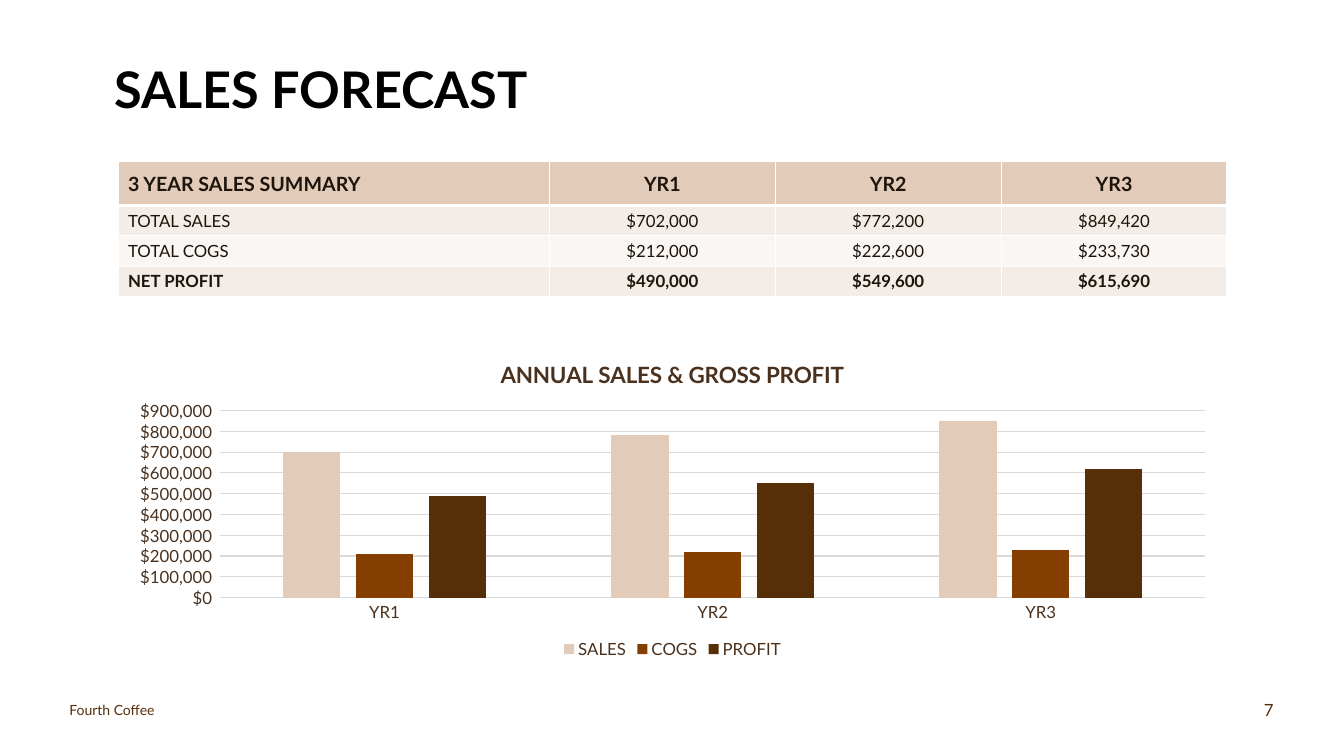
from lxml import etree
from pptx import Presentation
from pptx.chart.data import CategoryChartData
from pptx.dml.color import RGBColor
from pptx.enum.chart import XL_CHART_TYPE, XL_LEGEND_POSITION, XL_TICK_MARK
from pptx.enum.text import MSO_ANCHOR, PP_ALIGN
from pptx.oxml.ns import qn
from pptx.util import Inches, Pt

COLUMNS = XL_CHART_TYPE.COLUMN_CLUSTERED
BOTTOM = XL_LEGEND_POSITION.BOTTOM
NO_TICK = XL_TICK_MARK.NONE
MIDDLE = MSO_ANCHOR.MIDDLE
LEFT, CENTER, RIGHT = PP_ALIGN.LEFT, PP_ALIGN.CENTER, PP_ALIGN.RIGHT

BLACK = RGBColor(0x00, 0x00, 0x00)
INK = RGBColor(0x1D, 0x14, 0x0C)
BROWN = RGBColor(0x49, 0x31, 0x1E)
DARK = RGBColor(0x56, 0x2F, 0x08)
RUST = RGBColor(0x84, 0x3F, 0x00)
TAN = RGBColor(0xE2, 0xCB, 0xB9)
CREAM = RGBColor(0xF4, 0xEC, 0xE6)
PALE = RGBColor(0xFA, 0xF6, 0xF3)
GRAY = RGBColor(0xD9, 0xD9, 0xD9)

EDGE, WIDE = 1.17, 11


def style(font, size, color, bold=False):
    font.name = "Lato"
    font.size = Pt(size)
    font.bold = bold
    font.color.rgb = color


def label(text, place, size, color, bold=False, align=LEFT):
    box = slide.shapes.add_textbox(*map(Inches, place))
    frame = box.text_frame
    frame.word_wrap = True
    frame.vertical_anchor = MIDDLE
    frame.margin_top = frame.margin_bottom = 0
    line = frame.paragraphs[0]
    line.text = text
    line.alignment = align
    style(line.font, size, color, bold)


deck = Presentation()
deck.slide_width, deck.slide_height = Inches(13.33), Inches(7.5)
slide = deck.slides.add_slide(deck.slide_layouts[6])

label("SALES FORECAST", (1.04, 0.53, 11.25, 0.7), 36, BLACK, True)

years = ["YR1", "YR2", "YR3"]
rows = [
    ["3 YEAR SALES SUMMARY", *years],
    ["TOTAL SALES", "$702,000", "$772,200", "$849,420"],
    ["TOTAL COGS", "$212,000", "$222,600", "$233,730"],
    ["NET PROFIT", "$490,000", "$549,600", "$615,690"],
]
fills = [TAN, CREAM, PALE, CREAM]
table = slide.shapes.add_table(
    4, 4, Inches(EDGE), Inches(1.6), Inches(WIDE), Inches(1.34)).table
for c, width in enumerate([4.28] + [2.24] * 3):
    table.columns[c].width = Inches(width)
for r, row in enumerate(rows):
    table.rows[r].height = Inches(0.3 if r else 0.44)
    for c, text in enumerate(row):
        cell = table.cell(r, c)
        cell.vertical_anchor = MIDDLE
        line = cell.text_frame.paragraphs[0]
        line.text = text
        line.alignment = CENTER if c else LEFT
        style(line.font, 12 if r else 14, INK, r in (0, 3))
        props = cell._tc.get_or_add_tcPr()
        for side in "LRTB":
            thick = (side, r) in (("B", 0), ("T", 1))
            rule = etree.SubElement(
                props, qn("a:ln" + side), w=str(Pt(3 if thick else 1)))
            paint = etree.SubElement(rule, qn("a:solidFill"))
            etree.SubElement(paint, qn("a:srgbClr"), val="FFFFFF")
        cell.fill.solid()
        cell.fill.fore_color.rgb = fills[r]

bars = [
    ("SALES", (700000, 780000, 850000), TAN),
    ("COGS", (210000, 220000, 230000), RUST),
    ("PROFIT", (490000, 550000, 620000), DARK),
]
data = CategoryChartData()
data.categories = years
for name, sums, color in bars:
    data.add_series(name, sums)
chart = slide.shapes.add_chart(
    COLUMNS, Inches(EDGE), Inches(3.4), Inches(WIDE), Inches(3.18), data).chart
style(chart.font, 10, BLACK)

chart.has_title = True
title = chart.chart_title
title.include_in_layout = False
head = title.text_frame.paragraphs[0]
head.text = "ANNUAL SALES & GROSS PROFIT"
style(head.font, 16, BROWN, True)

chart.has_legend = True
chart.legend.position = BOTTOM
chart.legend.include_in_layout = False
style(chart.legend.font, 12, BROWN)

plot = chart.plots[0]
plot.vary_by_categories = False
plot.gap_width, plot.overlap = 219, -27
for item, (name, sums, color) in zip(plot.series, bars):
    item.invert_if_negative = False
    item.format.fill.solid()
    item.format.fill.fore_color.rgb = color

across, up = chart.category_axis, chart.value_axis
for axis in (across, up):
    axis.major_tick_mark = axis.minor_tick_mark = NO_TICK
    style(axis.tick_labels.font, 12, BROWN)
up.minimum_scale, up.maximum_scale, up.major_unit = 0, 900000, 100000
up.has_major_gridlines = True
up.format.line.fill.background()
up.tick_labels.number_format = r'"$"#,##0_);[Red]\("$"#,##0\)'
up.tick_labels.number_format_is_linked = False
for stroke in (across.format.line, up.major_gridlines.format.line):
    stroke.color.rgb = GRAY
    stroke.width = Pt(0.75)

label("Fourth Coffee", (0.59, 6.84, 4.5, 0.4), 10, DARK)
label("7", (9.73, 6.84, 3, 0.4), 12, DARK, align=RIGHT)

deck.save("out.pptx")
